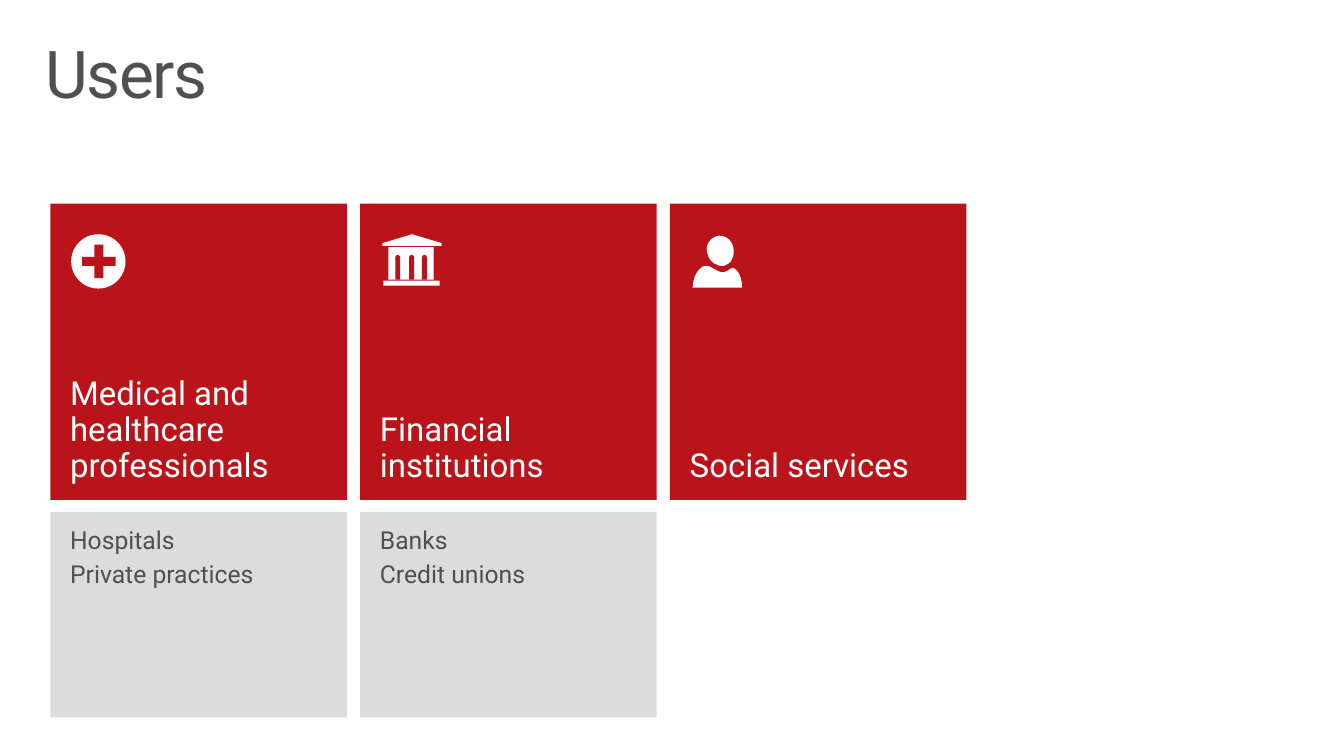
"""Build the Users slide: three user groups as tiles with icons and examples."""
from pptx import Presentation
from pptx.dml.color import RGBColor
from pptx.enum.shapes import MSO_SHAPE as Shape
from pptx.enum.text import MSO_ANCHOR as Anchor, PP_ALIGN as Align
from pptx.oxml.ns import qn
from pptx.util import Pt

PX = 9144
FONT = "Roboto"
COLORS = {"red": "BA141A", "gray": "DCDCDC", "text": "505050", "white": "FFFFFF"}

TITLE = "Users"
GROUPS = [
    ("Medical and healthcare professionals", ["Hospitals", "Private practices"]),
    ("Financial institutions", ["Banks", "Credit unions"]),
    ("Social services", []),
]
LEFT, PITCH, TILE = 51, 313.5, 300
TILE_TOP, DETAIL_TOP, DETAIL_HEIGHT = 206, 518, 208

TITLE_STYLE = {"size": 48, "color": "text", "margins": (16, 10)}
TILE_STYLE = {"size": 24, "color": "white", "margins": (20, 16), "anchor": Anchor.BOTTOM}
DETAIL_STYLE = {"size": 18, "color": "text", "margins": (20, 16), "after": 6}

CROSS_BAR = (83, 260, 34, 9)
MEDICAL_ICON = [
    (Shape.OVAL, (72, 237, 55, 55), "white", 0),
    (Shape.RECTANGLE, CROSS_BAR, "red", 90),
    (Shape.RECTANGLE, CROSS_BAR, "red", 180),
]
BANK_ICON = [
    (Shape.RECTANGLE, (388, 284, 57, 5), "white", 0),
    (Shape.RECTANGLE, (393, 250, 46, 33), "white", 0),
    (Shape.ISOSCELES_TRIANGLE, (387, 237, 60, 9), "white", 0),
    (Shape.RECTANGLE, (387, 246, 60, 3), "white", 0),
]
WINDOW_LEFTS = (400, 414, 427)
WINDOW_PARTS = [(Shape.RECTANGLE, 261, 22), (Shape.OVAL, 258, 5)]
WINDOWS = [(kind, (left, top, 5, height), "red", 0)
           for left in WINDOW_LEFTS for kind, top, height in WINDOW_PARTS]

HEAD = [(725, 239), [
    ((718, 241), (713, 249), (716, 257)),
    ((718, 265), (725, 270), (733, 269)),
    ((740, 267), (744, 259), (742, 250)),
    ((740, 242), (733, 237), (725, 239)),
]]
SHOULDERS = [(741, 271), [
    ((740, 271), (738, 273), (736, 274)),
    ((734, 275), (732, 277), (726, 274)),
    ((720, 271), (719, 269), (714, 269)),
    ((709, 269), (701, 278), (701, 291)),
    ((751, 291),),
    ((751, 291), (751, 282), (748, 277)),
    ((744, 271), (742, 271), (741, 271)),
]]


def rgb(name):
    return RGBColor.from_string(COLORS[name])


def emu(values):
    return [round(value * PX) for value in values]


def paint(shape, color):
    shape.shadow.inherit = False
    shape.fill.solid()
    shape.fill.fore_color.rgb = rgb(color)
    shape.line.fill.background()


def add_shape(shapes, kind, box, color, rotation=0):
    shape = shapes.add_shape(kind, *emu(box))
    shape.rotation = rotation
    paint(shape, color)
    return shape


def write(shape, lines, style):
    frame = shape.text_frame
    side, edge = emu(style["margins"])
    layout = {"word_wrap": True, "vertical_anchor": style.get("anchor", Anchor.TOP),
              "margin_left": side, "margin_right": side,
              "margin_top": edge, "margin_bottom": edge}
    for name, value in layout.items():
        setattr(frame, name, value)
    for index, line in enumerate(lines):
        paragraph = frame.add_paragraph() if index else frame.paragraphs[0]
        paragraph.alignment = Align.LEFT
        paragraph.line_spacing = 0.9
        paragraph.space_after = Pt(style.get("after", 0))
        run = paragraph.add_run()
        run.text = line
        run.font.name = FONT
        run.font.size = Pt(style["size"])
        run.font.color.rgb = rgb(style["color"])


def add_outline(shapes, start, segments):
    builder = shapes.build_freeform(*emu(start))
    builder.add_line_segments([emu(point) for segment in segments for point in segment])
    shape = builder.convert_to_shape()
    lines = iter(list(shape._element.iter(qn("a:lnTo"))))
    for segment in segments:
        first, *others = [next(lines) for point in segment]
        if others:
            curve = first.makeelement(qn("a:cubicBezTo"), {})
            first.addprevious(curve)
            for line in (first, *others):
                curve.append(line[0])
                line.getparent().remove(line)
    paint(shape, "white")


def main():
    presentation = Presentation()
    presentation.slide_width, presentation.slide_height = emu((1360, 765))
    slide = presentation.slides.add_slide(presentation.slide_layouts[6])

    title = slide.shapes.add_textbox(*emu((30, 32, 1300, 100)))
    write(title, [TITLE], TITLE_STYLE)
    title.text_frame.paragraphs[0].runs[0]._r.get_or_add_rPr().set("spc", "-100")

    for column, (name, examples) in enumerate(GROUPS):
        left = LEFT + column * PITCH
        tile = add_shape(slide.shapes, Shape.RECTANGLE, (left, TILE_TOP, TILE, TILE), "red")
        write(tile, [name], TILE_STYLE)
        if examples:
            detail = add_shape(slide.shapes, Shape.RECTANGLE,
                               (left, DETAIL_TOP, TILE, DETAIL_HEIGHT), "gray")
            write(detail, examples, DETAIL_STYLE)

    for icon in (MEDICAL_ICON, BANK_ICON + WINDOWS):
        group = slide.shapes.add_group_shape()
        for part in icon:
            add_shape(group.shapes, *part)
    person = slide.shapes.add_group_shape()
    for outline in (HEAD, SHOULDERS):
        add_outline(person.shapes, *outline)

    presentation.save("out.pptx")


if __name__ == "__main__":
    main()
